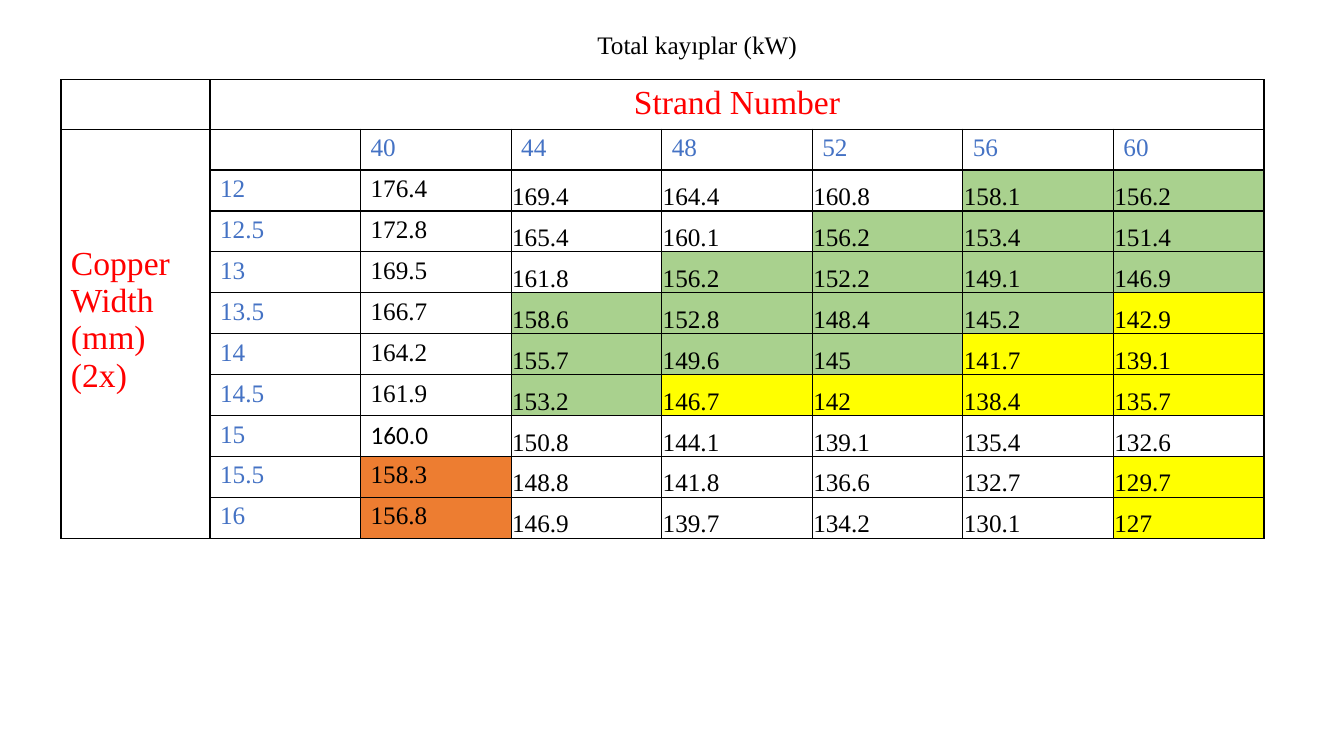
from lxml.etree import SubElement
from pptx import Presentation
from pptx.dml.color import RGBColor
from pptx.enum.text import MSO_ANCHOR, PP_ALIGN
from pptx.oxml.ns import qn
from pptx.util import Emu, Pt

SERIF = "Times New Roman"
BLACK, WHITE, RED, BLUE = "000000", "FFFFFF", "FF0000", "4472C4"
FILLS = {"w": WHITE, "g": "A9D18E", "y": "FFFF00", "o": "ED7D31"}
STRANDS = ["40", "44", "48", "52", "56", "60"]
LOSSES = [
    ("12", "176.4 169.4 164.4 160.8 158.1 156.2", "wwwwgg"),
    ("12.5", "172.8 165.4 160.1 156.2 153.4 151.4", "wwwggg"),
    ("13", "169.5 161.8 156.2 152.2 149.1 146.9", "wwgggg"),
    ("13.5", "166.7 158.6 152.8 148.4 145.2 142.9", "wggggy"),
    ("14", "164.2 155.7 149.6 145 141.7 139.1", "wgggyy"),
    ("14.5", "161.9 153.2 146.7 142 138.4 135.7", "wgyyyy"),
    ("15", "160.0 150.8 144.1 139.1 135.4 132.6", "wwwwww"),
    ("15.5", "158.3 148.8 141.8 136.6 132.7 129.7", "owwwwy"),
    ("16", "156.8 146.9 139.7 134.2 130.1 127", "owwwwy"),
]


def px(n):
    """Turn a length in px into EMU."""
    return Emu(n * 9525)


def rgb(code):
    """Turn a hex string into a colour."""
    return RGBColor.from_string(code)


def write(tf, text, color, size=18, font=SERIF, align=None):
    """Put one styled paragraph into a text frame."""
    tf.text = text
    p = tf.paragraphs[0]
    p.alignment = align
    for r in p.runs:
        r.font.size = Pt(size)
        r.font.name = font
        r.font.color.rgb = rgb(color)


def style_cell(cell, fill=WHITE):
    """Give a cell thin black borders and a fill."""
    tcPr = cell._tc.get_or_add_tcPr()
    for side in ("a:lnL", "a:lnR", "a:lnT", "a:lnB"):
        ln = SubElement(tcPr, qn(side), w=str(Pt(1)))
        SubElement(SubElement(ln, qn("a:solidFill")), qn("a:srgbClr"), val=BLACK)
    cell.fill.solid()
    cell.fill.fore_color.rgb = rgb(fill)


def add_title(s, x, y, w, h):
    """Place the centred title."""
    tf = s.shapes.add_textbox(px(x), px(y), px(w), px(h)).text_frame
    tf.word_wrap = False
    write(tf, "Total kayıplar (kW)", BLACK, align=PP_ALIGN.CENTER)


def add_loss_table(s, x, y, w, h):
    """Place the table of losses by copper width and strand number."""
    rows, cols = len(LOSSES) + 2, len(STRANDS) + 2
    first_w, first_h = 142, 47
    table = s.shapes.add_table(rows, cols, px(x), px(y), px(w), px(h)).table
    for i, col in enumerate(table.columns):
        col.width = px(first_w) if i == 0 else Emu(px(w - first_w) // (cols - 1))
    for i, row in enumerate(table.rows):
        row.height = px(first_h) if i == 0 else Emu(px(h - first_h) // (rows - 1))

    fills = {(i, j): FILLS[key] for i, (_, _, keys) in enumerate(LOSSES, 2)
             for j, key in enumerate(keys, 2)}
    for i in range(rows):
        for j in range(cols):
            style_cell(table.cell(i, j), fills.get((i, j), WHITE))

    top = table.cell(0, 1)
    top.merge(table.cell(0, cols - 1))
    write(top.text_frame, "Strand Number", RED, 24, align=PP_ALIGN.CENTER)
    side = table.cell(1, 0)
    side.merge(table.cell(rows - 1, 0))
    side.margin_top = px(111)
    write(side.text_frame, "Copper Width (mm) (2x)", RED, 24)

    for j, strand in enumerate(STRANDS, 2):
        write(table.cell(1, j).text_frame, strand, BLUE)
    for i, (width, values, _) in enumerate(LOSSES, 2):
        write(table.cell(i, 1).text_frame, width, BLUE)
        for j, value in enumerate(values.split(), 2):
            cell = table.cell(i, j)
            font = "Calibri" if value == "160.0" else SERIF
            write(cell.text_frame, value, BLACK, font=font)
            if j > 2:
                cell.vertical_anchor = MSO_ANCHOR.BOTTOM
                cell.margin_left = cell.margin_right = cell.margin_top = px(1)
                cell.margin_bottom = 0


def main():
    """Build the slide and save it."""
    prs = Presentation()
    prs.slide_width, prs.slide_height = px(1280), px(720)
    s = prs.slides.add_slide(prs.slide_layouts[6])
    add_loss_table(s, 58, 76, 1146, 437)
    add_title(s, 555, 23, 218, 38)
    prs.save("out.pptx")


if __name__ == "__main__":
    main()
